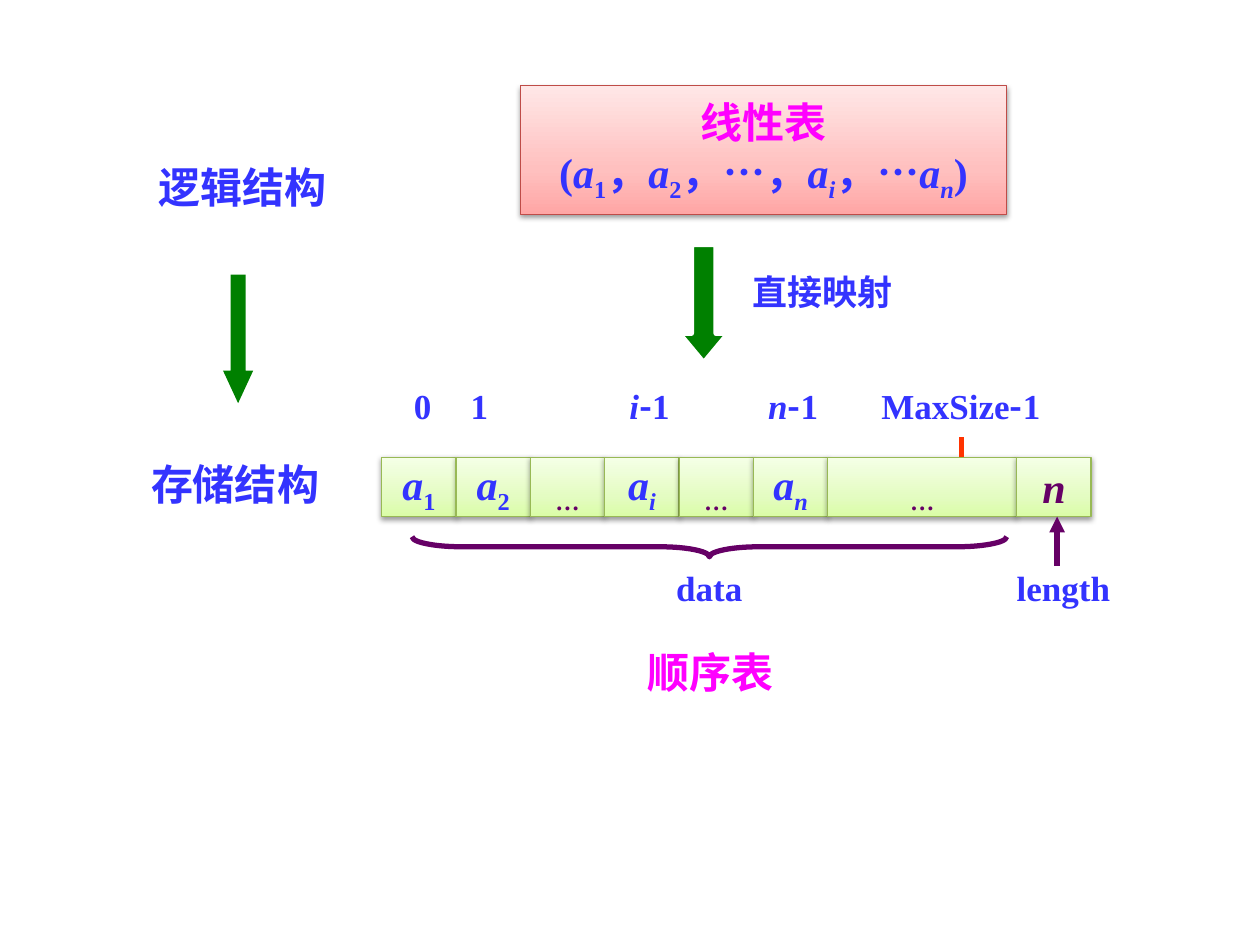
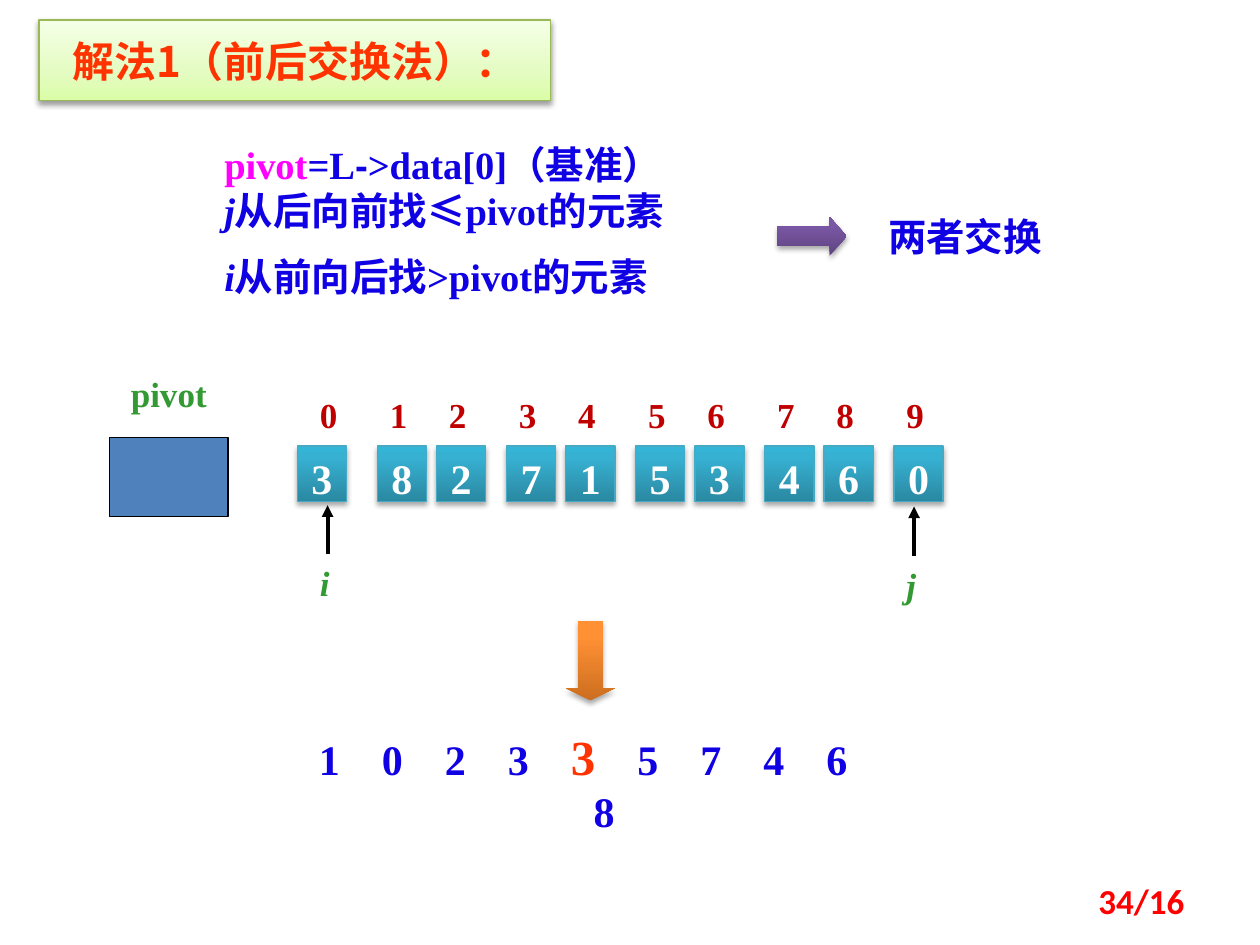
from dataclasses import dataclass
from typing import NamedTuple

from lxml.etree import SubElement
from pptx import Presentation
from pptx.dml.color import RGBColor
from pptx.enum.shapes import MSO_CONNECTOR as Connector, MSO_SHAPE as Shape
from pptx.enum.text import MSO_ANCHOR as Anchor, MSO_AUTO_SIZE as AutoSize, PP_ALIGN as Align
from pptx.oxml.ns import qn
from pptx.util import Inches, Pt


@dataclass(frozen=True)
class Theme:
    serif: str = "Times New Roman"
    hans: str = "Noto Sans CJK SC"
    sans: str = "Arial"
    number: str = "Calibri"
    blue: str = "3333FF"
    deep_blue: str = "1000E4"
    magenta: str = "FF00FF"
    purple: str = "660066"
    red: str = "FF3300"
    page_red: str = "FF0000"
    index_red: str = "C00000"
    green: str = "339933"
    arrow_green: str = "008000"
    pivot_fill: str = "4F81BD"
    white: str = "FFFFFF"
    black: str = "000000"
    label: int = 20
    text: int = 22
    head: int = 24
    accent: int = 28
    pink: tuple = ((0, "FFA6A5"), (35, "FFC0BF"), (100, "FFE7E7"))
    pink_edge: str = "BF4C48"
    lime: tuple = ((0, "DAFDA7"), (35, "E4FCC2"), (100, "F5FFE7"))
    lime_edge: str = "98B955"
    teal: tuple = ((0, "2A88A2"), (80, "37B1D2"), (100, "34B4D6"))
    teal_edge: str = "46AAC5"
    violet: tuple = ((0, "5F4480"), (80, "7B58A6"), (100, "7C57A8"))
    orange: tuple = ((0, "CC6E20"), (80, "FF9034"), (100, "FF9136"))
    soft: tuple = (38, 1.6)
    strong: tuple = (35, 1.8)


THEME = Theme()


class Box(NamedTuple):
    left: float
    top: float
    width: float
    height: float

    def inner(self, dx, dy, width, height):
        return Box(self.left + dx, self.top + dy, width, height)

    def lengths(self):
        return [Inches(value) for value in self]


class Span(NamedTuple):
    text: str
    italic: bool = None
    sub: bool = False
    font: str = None
    color: str = None
    size: int = None


def style_font(font, size=None, color=None, name=None, italic=None, bold=None):
    if size:
        font.size = Pt(size)
    if color:
        font.color.rgb = RGBColor.from_string(color)
    if name:
        font.name = name
    if italic is not None:
        font.italic = italic
    if bold is not None:
        font.bold = bold


def fill_para(para, content, size, color, name=THEME.serif, align=Align.CENTER, italic=None):
    para.alignment = align
    style_font(para.font, size, color, name, italic, True)
    for item in [Span(content)] if isinstance(content, str) else content:
        span = para.add_run()
        span.text = item.text
        style_font(span.font, item.size, item.color, item.font, item.italic)
        if item.sub:
            span._r.get_or_add_rPr().set("baseline", "-25000")


def write(shape, content, size, color, anchor=Anchor.TOP, wrap=True, **style):
    frame = shape.text_frame
    frame.word_wrap = wrap
    frame.vertical_anchor = anchor
    fill_para(frame.paragraphs[0], content, size, color, **style)


def add_text(shapes, box, content, size, color, **style):
    write(shapes.add_textbox(*box.lengths()), content, size, color, **style)


def paint(shape, fill=None, edge=None, width=0.75, shadow=None):
    props = shape.element.spPr
    if fill is None:
        shape.fill.background()
    elif isinstance(fill, str):
        shape.fill.solid()
        shape.fill.fore_color.rgb = RGBColor.from_string(fill)
    else:
        shape.fill.gradient()
        shape.fill.gradient_angle = 90
        stops = props.find(qn("a:gradFill")).find(qn("a:gsLst"))
        stops.clear()
        for place, color in fill:
            stop = SubElement(stops, qn("a:gs"), pos=str(place * 1000))
            SubElement(stop, qn("a:srgbClr"), val=color)
    if edge:
        shape.line.color.rgb = RGBColor.from_string(edge)
        shape.line.width = Pt(width)
    else:
        shape.line.fill.background()
    shape.shadow.inherit = False
    if shadow:
        opacity, distance = shadow
        outer = SubElement(props.find(qn("a:effectLst")), qn("a:outerShdw"), blurRad=str(Pt(3.1)),
                           dist=str(Pt(distance)), dir="5400000", rotWithShape="0")
        color = SubElement(outer, qn("a:srgbClr"), val=THEME.black)
        SubElement(color, qn("a:alpha"), val=str(opacity * 1000))


def add_shape(shapes, kind, box, adjust=(), **look):
    shape = shapes.add_shape(kind, *box.lengths())
    for index, value in enumerate(adjust):
        shape.adjustments[index] = value
    paint(shape, **look)
    return shape


def add_line(shapes, x, start, end, color, width, arrow=False):
    line = shapes.add_connector(Connector.STRAIGHT, *[Inches(v) for v in (x, start, x, end)])
    line.line.color.rgb = RGBColor.from_string(color)
    line.line.width = Pt(width)
    if arrow:
        SubElement(line.line._get_or_add_ln(), qn("a:tailEnd"), type="triangle")
    SubElement(line.element.spPr, qn("a:effectLst"))


def element(index):
    return [Span("a", True), Span(index, index.isalpha(), True)]


def structure_column(page, box):
    add_text(page.shapes, box.inner(0.06, 0, 1.89, 0.44), "逻辑结构", THEME.head, THEME.blue)
    add_shape(page.shapes, Shape.DOWN_ARROW, box.inner(0.85, 0.95, 0.24, 1.02),
              (0.5, 1.08), fill=THEME.arrow_green)
    add_text(page.shapes, box.inner(0, 2.36, 1.89, 0.44), "存储结构", THEME.head, THEME.blue)


def linear_list(page, box):
    frame = add_shape(page.shapes, Shape.RECTANGLE, box.inner(0, 0, 3.86, 1.02),
                      fill=THEME.pink, edge=THEME.pink_edge, shadow=THEME.soft)
    write(frame, "线性表", THEME.head, THEME.magenta, Anchor.MIDDLE, False)
    members = [Span("(", False), *element("1"), Span("，", False), *element("2"),
               Span("，…，", False), *element("i"), Span("，…", False), *element("n"),
               Span(")", False)]
    fill_para(frame.text_frame.add_paragraph(), members, THEME.head, THEME.blue)
    add_shape(page.shapes, Shape.DOWN_ARROW, box.inner(1.26, 1.26, 0.39, 0.94), (0.5, 0.6),
              fill=THEME.arrow_green, edge=THEME.white, width=3)
    add_text(page.shapes, box.inner(1.65, 1.42, 1.5, 0.43), "直接映射",
             THEME.label, THEME.blue, name=THEME.hans)


def sequential_list(page, box):
    shapes = page.shapes
    dots = [Span("…", sub=True)]
    cells = [(element("1"), THEME.blue), (element("2"), THEME.blue), (dots, THEME.purple),
             (element("i"), THEME.blue), (dots, THEME.purple), (element("n"), THEME.blue),
             (dots, THEME.purple), ([Span("n", True)], THEME.purple)]
    unit, spare, spare_index = 0.59, 1.5, 6
    left = 0
    for index, (content, color) in enumerate(cells):
        width = spare if index == spare_index else unit
        cell = add_shape(shapes, Shape.RECTANGLE, box.inner(left, 0.63, width, 0.47),
                         fill=THEME.lime, edge=THEME.lime_edge, shadow=THEME.soft)
        write(cell, content, THEME.head, color, Anchor.MIDDLE, False)
        left += width

    minus_one = [Span("-", False, font=THEME.hans), Span("1", False)]
    indexes = [(0.05, 0.55, "0"), (0.5, 0.55, "1"),
               (1.81, 0.63, [Span("i", True), *minus_one]),
               (2.91, 0.71, [Span("n", True), *minus_one]),
               (3.77, 1.65, [Span("MaxSize"), *minus_one])]
    for dx, width, content in indexes:
        add_text(shapes, box.inner(dx, 0, width, 0.43), content, THEME.label, THEME.blue)
    add_line(shapes, box.left + 4.6, box.top + 0.47, box.top + 0.63, THEME.red, 3)

    brace = add_shape(shapes, Shape.RIGHT_BRACE, box.inner(2.52, -1.02, 0.16, 4.72),
                      (2.49, 0.5), edge=THEME.purple, width=3)
    brace.rotation = 90
    add_line(shapes, box.left + 5.36, box.top + 1.49, box.top + 1.1, THEME.purple, 3, True)
    for dx, width, name in ((2.05, 1.1, "data"), (4.78, 1.26, "length")):
        add_text(shapes, box.inner(dx, 1.45, width, 0.43), name, THEME.label, THEME.blue)
    add_text(shapes, box.inner(1.66, 2.08, 1.89, 0.44), "顺序表",
             THEME.head, THEME.magenta, name=THEME.hans)


def place(holder, box):
    holder.left, holder.top, holder.width, holder.height = box.lengths()
    holder.text_frame.auto_size = AutoSize.NONE


def title_band(page, box, text):
    title = page.shapes.title
    place(title, box)
    paint(title, THEME.lime, THEME.lime_edge, shadow=THEME.soft)
    frame = title.text_frame
    frame.margin_left = frame.margin_right = Inches(0.18)
    frame.margin_top = frame.margin_bottom = Inches(0.12)
    write(title, text, THEME.head, THEME.red, name=THEME.hans)


def swap_rules(page, box):
    body = page.placeholders[1]
    place(body, box.inner(0, 0, 5.35, 1.58))
    frame = body.text_frame
    frame.word_wrap = True
    frame.vertical_anchor = Anchor.TOP
    rules = [
        ([Span("pivot", color=THEME.magenta), Span("=L"), Span("-", font=THEME.sans),
          Span(">data[0]（基准）")], 0),
        ([Span("j", True), Span("从后向前找"), Span("≤", font=THEME.sans),
          Span("pivot的元素")], 0),
        ([Span("i", True), Span("从前向后找>pivot的元素")], 11),
    ]
    for index, (content, gap) in enumerate(rules):
        para = frame.add_paragraph() if index else frame.paragraphs[0]
        props = para._p.get_or_add_pPr()
        props.set("marL", "0")
        props.set("indent", "0")
        SubElement(props, qn("a:buNone"))
        para.space_before = Pt(gap)
        fill_para(para, content, THEME.text, THEME.deep_blue, align=Align.LEFT)
    add_shape(page.shapes, Shape.RIGHT_ARROW, box.inner(4.49, 0.65, 0.55, 0.31), (0.5, 0.44),
              fill=THEME.violet, shadow=THEME.strong)
    add_text(page.shapes, box.inner(5.27, 0.57, 1.97, 0.47), "两者交换",
             THEME.text, THEME.deep_blue, align=Align.LEFT)


def pivot_store(page, box):
    add_text(page.shapes, box.inner(0.07, 0, 0.87, 0.43), "pivot",
             THEME.label, THEME.green, align=Align.LEFT)
    add_shape(page.shapes, Shape.RECTANGLE, box.inner(0, 0.56, 0.94, 0.63),
              fill=THEME.pivot_fill, edge=THEME.black)


def pointer(page, box, name):
    group = page.shapes.add_group_shape()
    add_text(group.shapes, box, name, THEME.label, THEME.green, align=Align.LEFT, italic=True)
    add_line(group.shapes, box.left + 0.16, box.top - 0.01, box.top - 0.4,
             THEME.black, 2.25, True)


def number_array(page, box, values):
    pair, step, side = 1.025, 0.47, 0.39
    lefts = [(i + 1) // 2 * pair + (i + 1) % 2 * step - step for i in range(len(values))]
    for index, (value, left) in enumerate(zip(values, lefts)):
        add_text(page.shapes, box.inner(left, 0, side, 0.43), str(index),
                 THEME.label, THEME.index_red, align=Align.LEFT)
        nudge = 0 if index else -0.08
        cell = add_shape(page.shapes, Shape.RECTANGLE, box.inner(left + nudge, 0.47, side, 0.44),
                         fill=THEME.teal, edge=THEME.teal_edge, shadow=THEME.strong)
        write(cell, value, THEME.head, THEME.white)
    pointer(page, box.inner(lefts[0], 1.34, side, 0.43), "i")
    pointer(page, box.inner(lefts[-1], 1.35, side, 0.43), "j")


def partition_result(page, box):
    shapes = page.shapes.add_group_shape().shapes
    add_shape(shapes, Shape.DOWN_ARROW, box.inner(2.09, 0, 0.39, 0.63), (0.5, 0.25),
              fill=THEME.orange, shadow=THEME.strong)
    content = [Span("1\u30000\u30002\u30003\u3000"),
               Span("3", color=THEME.red, size=THEME.accent),
               Span("\u30005\u30007\u30004\u30006\u30008")]
    add_text(shapes, box.inner(0, 0.79, 4.79, 0.57), content, THEME.head, THEME.deep_blue)


def page_number(page, box, text):
    add_text(page.shapes, box, text, THEME.label, THEME.page_red, anchor=Anchor.MIDDLE,
             name=THEME.number, align=Align.RIGHT)


deck = Presentation()
deck.slide_width, deck.slide_height = Inches(10), Inches(7.5)

mapping = deck.slides.add_slide(deck.slide_layouts[6])
linear_list(mapping, Box(4.13, 0.68, 3.86, 2.2))
sequential_list(mapping, Box(3.03, 3, 6.04, 2.52))
structure_column(mapping, Box(0.92, 1.23, 1.95, 2.8))

partition = deck.slides.add_slide(deck.slide_layouts[1])
title_band(partition, Box(0.31, 0.16, 4.06, 0.64), "解法1（前后交换法）：")
swap_rules(partition, Box(1.68, 1.07, 7.24, 1.58))
pivot_store(partition, Box(0.87, 2.91, 0.94, 1.19))
number_array(partition, Box(2.44, 3.07, 5.04, 1.78), "3827153460")
partition_result(partition, Box(2.4, 4.93, 4.79, 1.36))
page_number(partition, Box(7.17, 6.95, 2.33, 0.4), "34/16")

deck.save("out.pptx")
